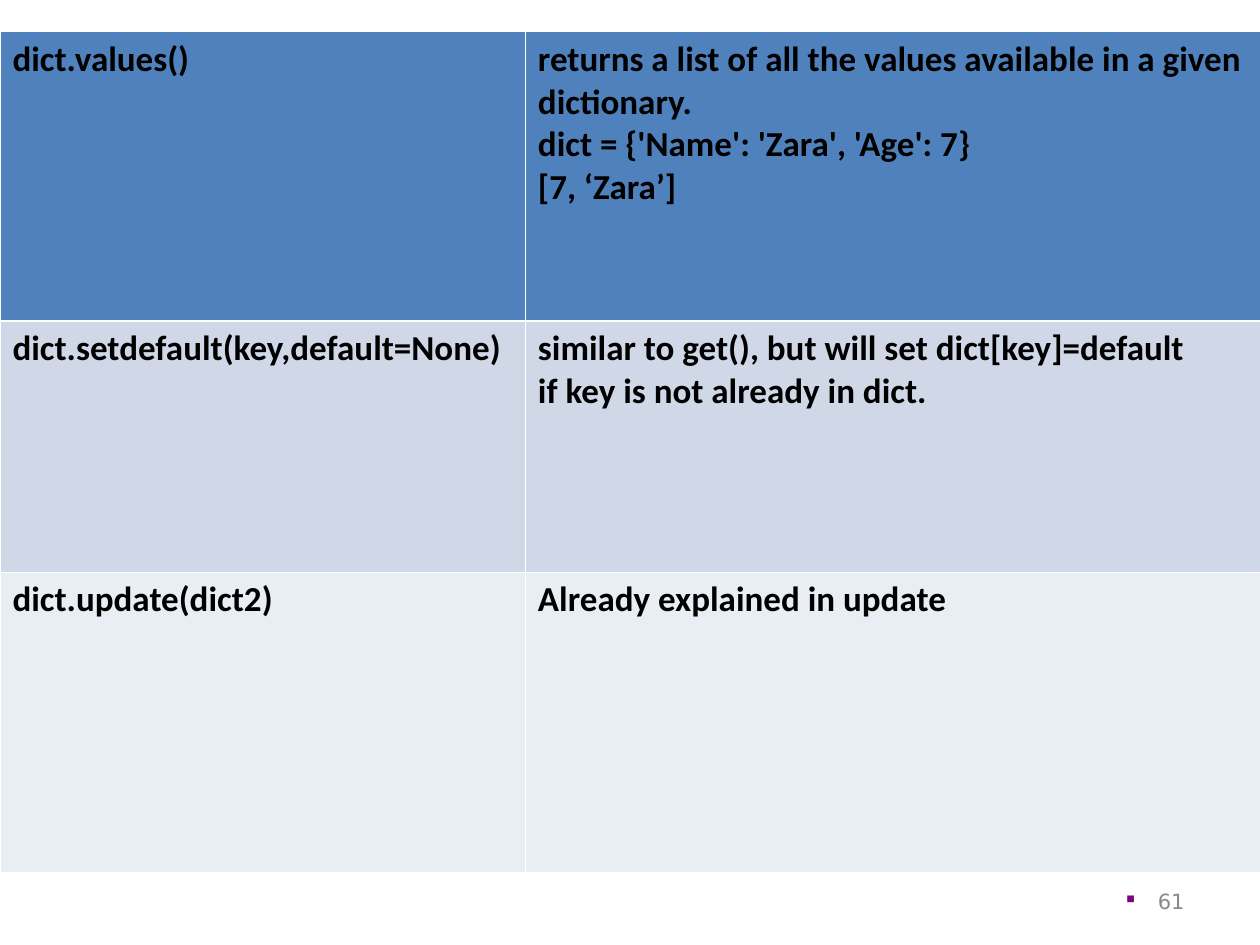
"""Build a slide with a table of Python dictionary methods."""
from lxml.etree import SubElement
from pptx import Presentation
from pptx.dml.color import RGBColor
from pptx.enum.text import MSO_ANCHOR as Anchor, PP_ALIGN as Align
from pptx.oxml.ns import qn
from pptx.util import Inches, Pt

BLACK = RGBColor(0x00, 0x00, 0x00)
WHITE = RGBColor(0xFF, 0xFF, 0xFF)
GREY = RGBColor(0x89, 0x89, 0x89)
PURPLE = RGBColor(0x80, 0x00, 0x80)
BLUE = RGBColor(0x4F, 0x81, 0xBD)
PALE_BLUE = RGBColor(0xD0, 0xD8, 0xE8)
LIGHT = RGBColor(0xE9, 0xED, 0xF4)

METHODS = [
    (["dict.values()"],
     ["returns a list of all the values available in a given dictionary.",
      "dict = {'Name': 'Zara', 'Age': 7}",
      "[7, ‘Zara’]"]),
    (["dict.setdefault(key,default=None)"],
     ["similar to get(), but will set\u00a0dict[key]=default",
      "if key is not already in dict."]),
    (["dict.update(dict2)"], ["Already explained in update"]),
]
ROW_FILLS = [BLUE, PALE_BLUE, LIGHT]
ROW_HEIGHTS = [2.3, 1.99, 2.38]
COLUMN_WIDTHS = [4.17, 5.83]
THIN, THICK = 0.45, 1.47
PAGE_NUMBER = "61"


def write(frame, lines, *, size, font, color, bold=False, align=Align.LEFT, bullet=None):
    for index, line in enumerate(lines):
        para = frame.paragraphs[0] if index == 0 else frame.add_paragraph()
        para.alignment = align
        if bullet:
            add_bullet(para, bullet)
        span = para.add_run()
        span.text = line
        span.font.size = Pt(size)
        span.font.name = font
        span.font.bold = bold
        span.font.color.rgb = color


def add_bullet(para, mark):
    props = para._p.get_or_add_pPr()
    props.set("marL", str(Inches(0.25)))
    props.set("indent", str(-Inches(0.25)))
    SubElement(SubElement(props, qn("a:buClr")), qn("a:srgbClr"), val=str(PURPLE))
    SubElement(props, qn("a:buSzPct"), val="55000")
    SubElement(props, qn("a:buChar"), char=mark)


def add_borders(cell, top, bottom):
    props = cell._tc.get_or_add_tcPr()
    for side, width in (("L", THIN), ("R", THIN), ("T", top), ("B", bottom)):
        line = SubElement(props, qn(f"a:ln{side}"), w=str(Pt(width)))
        SubElement(SubElement(line, qn("a:solidFill")), qn("a:srgbClr"), val=str(WHITE))


def add_methods_table(page):
    table = page.shapes.add_table(
        len(METHODS), len(COLUMN_WIDTHS), Inches(0), Inches(0.25),
        Inches(sum(COLUMN_WIDTHS)), Inches(sum(ROW_HEIGHTS))).table
    for column, width in zip(table.columns, COLUMN_WIDTHS):
        column.width = Inches(width)
    for index, (method, fill) in enumerate(zip(METHODS, ROW_FILLS)):
        row = table.rows[index]
        row.height = Inches(ROW_HEIGHTS[index])
        top = THICK if index == 1 else THIN
        bottom = THICK if index == 0 else THIN
        for cell, lines in zip(row.cells, method):
            add_borders(cell, top, bottom)
            cell.fill.solid()
            cell.fill.fore_color.rgb = fill
            write(cell.text_frame, lines, size=20, font="Calibri", color=BLACK, bold=True)


def add_page_number(page):
    box = page.shapes.add_textbox(Inches(7.17), Inches(6.95), Inches(2.33), Inches(0.4))
    frame = box.text_frame
    frame.word_wrap = True
    frame.vertical_anchor = Anchor.MIDDLE
    write(frame, [PAGE_NUMBER], size=12, font="DejaVu Sans", color=GREY,
          align=Align.RIGHT, bullet="■")


def main():
    deck = Presentation()
    deck.slide_width, deck.slide_height = Inches(10), Inches(7.5)
    page = deck.slides.add_slide(deck.slide_layouts[6])
    add_methods_table(page)
    add_page_number(page)
    deck.save("out.pptx")


if __name__ == "__main__":
    main()
